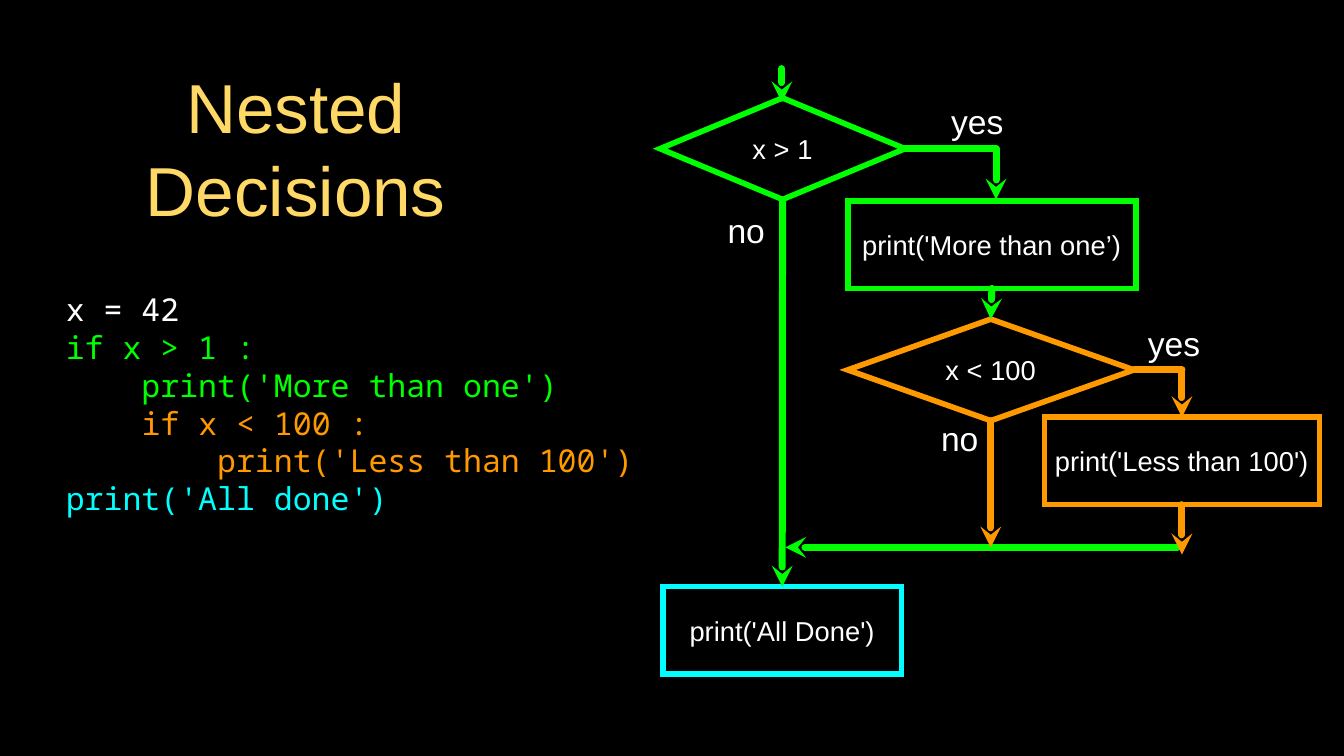
"""Build a slide on nested decisions: code at left, flow chart at right."""
from lxml import etree
from pptx import Presentation
from pptx.dml.color import RGBColor
from pptx.enum import shapes, text
from pptx.oxml import ns
from pptx.util import Pt

BLACK = RGBColor(0, 0, 0)
WHITE = RGBColor(255, 255, 255)
GREEN = RGBColor(0, 255, 0)
ORANGE = RGBColor(255, 153, 0)
CYAN = RGBColor(0, 255, 255)
GOLD = RGBColor(255, 217, 102)
RECT = shapes.MSO_SHAPE.RECTANGLE
DIAMOND = shapes.MSO_SHAPE.DIAMOND
TOP, LEFT, BOTTOM, RIGHT = range(4)

deck = Presentation()
deck.slide_width, deck.slide_height = Pt(960), Pt(540)
slide = deck.slides.add_slide(deck.slide_layouts[6])
slide.background.fill.solid()
slide.background.fill.fore_color.rgb = BLACK


def write(shape, lines, size, font="Arial", align=text.PP_ALIGN.CENTER, wrap=False, gap=None):
    frame = shape.text_frame
    frame.word_wrap = wrap
    frame.vertical_anchor = text.MSO_ANCHOR.MIDDLE
    frame.margin_left = frame.margin_right = frame.margin_top = frame.margin_bottom = 0
    for i, line in enumerate(lines):
        para = frame.add_paragraph() if i else frame.paragraphs[0]
        para.alignment = align
        para.line_spacing = gap
        for words, color in line:
            run = para.add_run()
            run.text = words
            run.font.size = Pt(size)
            run.font.name = font
            run.font.color.rgb = color


def link(start, end, color, first=None, last=None, arrow=True):
    line = slide.shapes.add_connector(shapes.MSO_CONNECTOR.STRAIGHT, *map(Pt, start + end))
    if first:
        line.begin_connect(*first)
    if last:
        line.end_connect(*last)
    line.line.color.rgb = color
    line.line.width = Pt(5)
    stroke = line.line._get_or_add_ln()
    stroke.set("cap", "rnd")
    etree.SubElement(stroke, ns.qn("a:round"))
    if arrow:
        etree.SubElement(stroke, ns.qn("a:tailEnd"), type="stealth")
    etree.SubElement(line._element.spPr, ns.qn("a:effectLst"))


code = [
    [("x = 42", WHITE)],
    [("if x > 1 :", GREEN)],
    [("    print('More than one')", GREEN)],
    [("    ", WHITE), ("if x < 100 :", ORANGE)],
    [("        print('Less than 100')", ORANGE)],
    [("print('All done')", CYAN)],
]
box = slide.shapes.add_textbox(Pt(47), Pt(190), Pt(410.5), Pt(196.5))
write(box, code, 22.5, "Noto Sans Mono", text.PP_ALIGN.LEFT, True, Pt(27))

title = slide.shapes.add_textbox(Pt(69), Pt(41), Pt(284.5), Pt(128))
write(title, [[("Nested Decisions", GOLD)]], 49.5, wrap=True, gap=Pt(59.25))

nodes = []
for kind, x, y, w, h, color, words in [
    (DIAMOND, 471.5, 70, 175, 72.5, GREEN, "x > 1"),
    (RECT, 605.5, 143.5, 206, 62.5, GREEN, "print('More than one’)"),
    (DIAMOND, 605.5, 228, 204.5, 72.5, ORANGE, "x < 100"),
    (RECT, 746, 298, 196.5, 62.5, ORANGE, "print('Less than 100')"),
    (RECT, 473.5, 419, 170.5, 62.5, CYAN, "print('All Done')"),
]:
    node = slide.shapes.add_shape(kind, Pt(x), Pt(y), Pt(w), Pt(h))
    node.shadow.inherit = False
    node.fill.background()
    node.line.color.rgb = color
    node.line.width = Pt(4)
    etree.SubElement(node.line._get_or_add_ln(), ns.qn("a:miter"), lim="800000")
    write(node, [[(words, WHITE)]], 19.5)
    nodes.append(node)
test, more, inner, less, done = nodes

for words, x, y in [
    ("yes", 671, 73),
    ("yes", 811.5, 231.5),
    ("no", 658.5, 299.5),
    ("no", 506, 150.5),
]:
    label = slide.shapes.add_textbox(Pt(x), Pt(y), Pt(54), Pt(27.5))
    write(label, [[(words, WHITE)]], 24)

link((558.5, 49), (558.5, 73), GREEN)
link((646.5, 106.25), (711.5, 106.25), GREEN, (test, RIGHT), arrow=False)
link((711.5, 106.25), (711.5, 142.5), GREEN)
link((559, 142.5), (558.75, 419), GREEN, (test, BOTTOM), (done, TOP))
link((810, 264.25), (844.25, 264.25), ORANGE, (inner, RIGHT), arrow=False)
link((844.25, 264.25), (844.25, 298), ORANGE, last=(less, TOP))
link((708.5, 206), (707.75, 228), GREEN, (more, BOTTOM), (inner, TOP))
link((841, 391), (561, 391), GREEN)
link((707.75, 300.5), (707.75, 391), ORANGE, (inner, BOTTOM))
link((844.25, 360.5), (844.25, 396), ORANGE, (less, BOTTOM))

deck.save("out.pptx")
